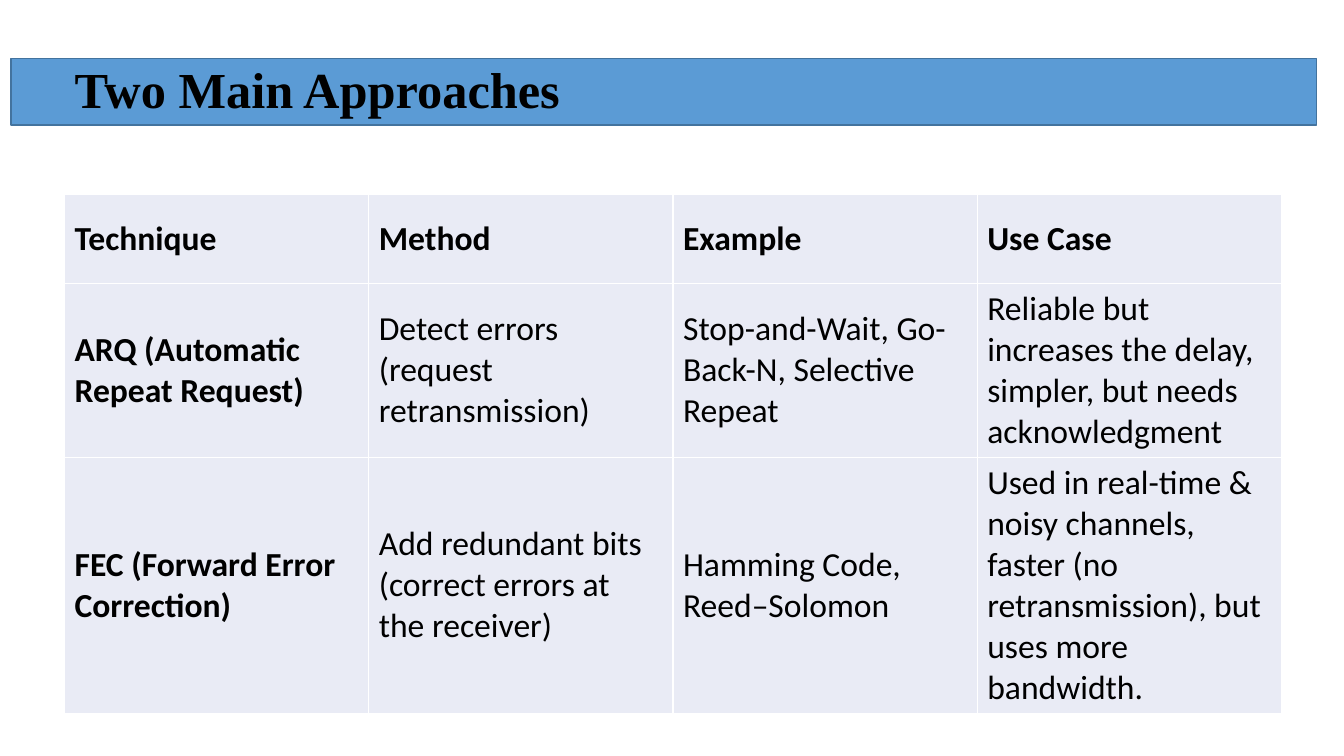
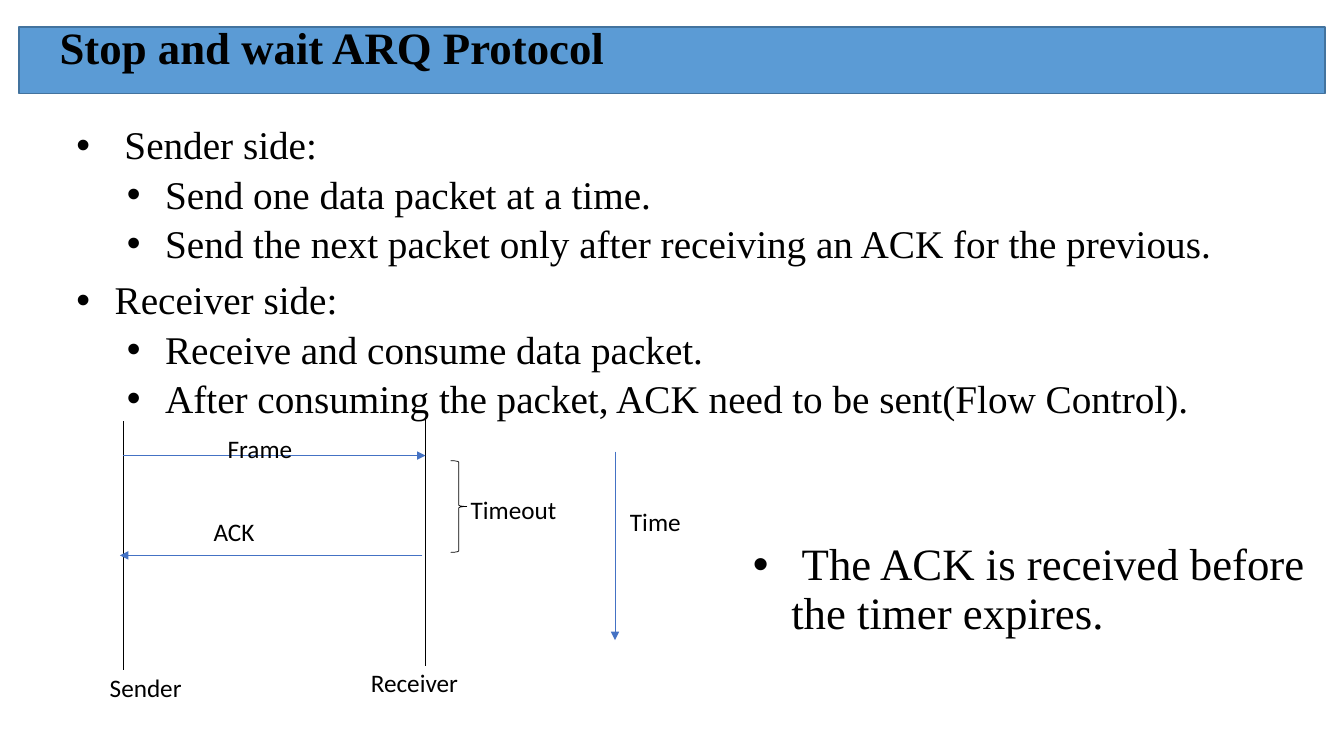
from lxml.etree import SubElement
from pptx import Presentation
from pptx.dml.color import RGBColor
from pptx.enum.shapes import MSO_CONNECTOR, MSO_SHAPE
from pptx.enum.text import MSO_ANCHOR, MSO_AUTO_SIZE, PP_ALIGN
from pptx.oxml.ns import qn
from pptx.util import Inches, Pt

COLORS = {
    "text": "000000",
    "band": "5B9BD5",
    "band_edge": "43739E",
    "cell": "E9EBF5",
    "cell_edge": "FFFFFF",
    "arrow": "4472C4",
}
SERIF, SANS = "Times New Roman", "Calibri"

APPROACHES = [
    ("Technique", "Method", "Example", "Use Case"),
    (
        "ARQ (Automatic Repeat Request)",
        "Detect errors (request retransmission)",
        "Stop-and-Wait, Go-Back-N, Selective Repeat",
        "Reliable but increases the delay, simpler, but needs acknowledgment",
    ),
    (
        "FEC (Forward Error Correction)",
        "Add redundant bits (correct errors at the receiver)",
        "Hamming Code, Reed–Solomon",
        "Used in real-time & noisy channels, faster (no retransmission), "
        "but uses more bandwidth.",
    ),
]
ROW_HEIGHTS = [0.88, 1.72, 2.53]
TABLE_WIDTH = 12.07

# (level, text)
PROTOCOL_RULES = [
    (0, " Sender side:"),
    (1, "Send one data packet at a time."),
    (1, "Send the next packet only after receiving an ACK for the previous."),
    (0, "Receiver side:"),
    (1, "Receive and consume data packet."),
    (1, "After consuming the packet, ACK need to be sent(Flow Control)."),
]
TIMER_NOTE = [(0, " The ACK is received before the timer expires.")]

# (start x, start y, end x, end y)
LIFELINES = [(1.22, 4.18, 1.22, 6.65), (4.22, 4.14, 4.22, 6.61)]
ARROWS = [
    (1.22, 4.52, 4.22, 4.52),
    (4.19, 5.51, 1.19, 5.51),
    (6.1, 4.48, 6.1, 6.35),
]
# (text, left, top, width)
LABELS = [
    ("Sender", 0.99, 6.62, 1.04),
    ("Receiver", 3.58, 6.57, 1.27),
    ("Frame", 2.16, 4.25, 1.04),
    ("ACK", 2.02, 5.07, 1.04),
    ("Time", 6.15, 4.97, 1.27),
    ("Timeout", 4.57, 4.86, 1.27),
]


def color(name):
    return RGBColor.from_string(COLORS[name])


def place(shape, left, top, width, height):
    shape.left, shape.top = Inches(left), Inches(top)
    shape.width, shape.height = Inches(width), Inches(height)


def style_text(para, font_name, size, bold=False):
    for span in para.runs:
        span.font.name = font_name
        span.font.size = Pt(size)
        span.font.bold = bold
        span.font.color.rgb = color("text")


def add_titled_slide(deck, title_text, size, title_area, band_left, band_top):
    """Add a title-only slide whose title lies over a coloured band."""
    slide = deck.slides.add_slide(deck.slide_layouts[5])
    title = slide.shapes.title
    place(title, *title_area)
    frame = title.text_frame
    frame.text = title_text
    frame.auto_size = MSO_AUTO_SIZE.NONE
    frame.vertical_anchor = MSO_ANCHOR.BOTTOM
    para = frame.paragraphs[0]
    para.alignment = PP_ALIGN.LEFT
    para.line_spacing = 0.9
    style_text(para, SERIF, size, bold=True)

    band = slide.shapes.add_shape(
        MSO_SHAPE.RECTANGLE,
        Inches(band_left), Inches(band_top), Inches(12.95), Inches(0.66),
    )
    band.shadow.inherit = False
    band.fill.solid()
    band.fill.fore_color.rgb = color("band")
    band.line.color.rgb = color("band_edge")
    band.line.width = Pt(1)
    title.element.addprevious(band.element)
    return slide


def add_text_box(slide, left, top, width, height):
    box = slide.shapes.add_textbox(
        Inches(left), Inches(top), Inches(width), Inches(height)
    )
    box.text_frame.word_wrap = True
    return box.text_frame


def add_bullets(slide, items, size, area):
    frame = add_text_box(slide, *area)
    for index, (level, text) in enumerate(items):
        para = frame.add_paragraph() if index else frame.paragraphs[0]
        para.text = text
        para.level = level
        properties = para._p.get_or_add_pPr()
        properties.set("marL", str(Inches(0.38 + 0.5 * level)))
        properties.set("indent", str(Inches(-0.38)))
        SubElement(properties, qn("a:buFont"), typeface="Arial")
        SubElement(properties, qn("a:buChar"), char="•")
        para.line_spacing = 0.9
        if index:
            para.space_before = Pt(5 if level else 10)
        style_text(para, SERIF, size)


def add_line(slide, ends, line_color, arrow=False):
    line = slide.shapes.add_connector(
        MSO_CONNECTOR.STRAIGHT, *(Inches(value) for value in ends)
    )
    line.line.color.rgb = color(line_color)
    line.line.width = Pt(0.5)
    if arrow:
        SubElement(line.line._get_or_add_ln(), qn("a:tailEnd"), type="triangle")
    SubElement(line.element.spPr, qn("a:effectLst"))


def style_cell(cell, bold):
    cell.vertical_anchor = MSO_ANCHOR.MIDDLE
    properties = cell._tc.get_or_add_tcPr()
    for side in ("lnL", "lnR", "lnT", "lnB"):
        edge = SubElement(properties, qn(f"a:{side}"), w=str(Pt(1)))
        fill = SubElement(edge, qn("a:solidFill"))
        SubElement(fill, qn("a:srgbClr"), val=COLORS["cell_edge"])
    cell.fill.solid()
    cell.fill.fore_color.rgb = color("cell")
    style_text(cell.text_frame.paragraphs[0], SANS, 24, bold)


def add_approaches_table(slide):
    row_count, column_count = len(APPROACHES), len(APPROACHES[0])
    table = slide.shapes.add_table(
        row_count, column_count, Inches(0.64), Inches(1.93),
        Inches(TABLE_WIDTH), Inches(sum(ROW_HEIGHTS)),
    ).table
    table.first_row = table.horz_banding = False
    for column in table.columns:
        column.width = Inches(TABLE_WIDTH / column_count)
    for row_index, values in enumerate(APPROACHES):
        table.rows[row_index].height = Inches(ROW_HEIGHTS[row_index])
        for column_index, text in enumerate(values):
            cell = table.cell(row_index, column_index)
            cell.text = text
            style_cell(cell, bold=row_index == 0 or column_index == 0)


def add_timing_diagram(slide):
    for ends in LIFELINES:
        add_line(slide, ends, "text")
    for ends in ARROWS:
        add_line(slide, ends, "arrow", arrow=True)
    brace = slide.shapes.add_shape(
        MSO_SHAPE.RIGHT_BRACE,
        Inches(4.47), Inches(4.57), Inches(0.16), Inches(0.91),
    )
    brace.shadow.inherit = False
    brace.fill.background()
    brace.line.color.rgb = color("text")
    brace.line.width = Pt(0.5)
    for text, left, top, width in LABELS:
        frame = add_text_box(slide, left, top, width, 0.4)
        frame.text = text
        style_text(frame.paragraphs[0], SANS, 18)


def main():
    deck = Presentation()
    deck.slide_width, deck.slide_height = Inches(13.33), Inches(7.5)

    approaches = add_titled_slide(
        deck, "Two Main Approaches", 36, (0.64, 0.36, 11.89, 0.88), 0.11, 0.58
    )
    add_approaches_table(approaches)

    protocol = add_titled_slide(
        deck, "Stop and wait ARQ Protocol", 32, (0.49, -0.09, 11.22, 0.88), 0.19, 0.27
    )
    add_bullets(protocol, PROTOCOL_RULES, 28, (0.66, 1.2, 12.5, 3))
    add_timing_diagram(protocol)
    add_bullets(protocol, TIMER_NOTE, 32, (7.37, 5.33, 5.9, 1.81))

    deck.save("out.pptx")


if __name__ == "__main__":
    main()
